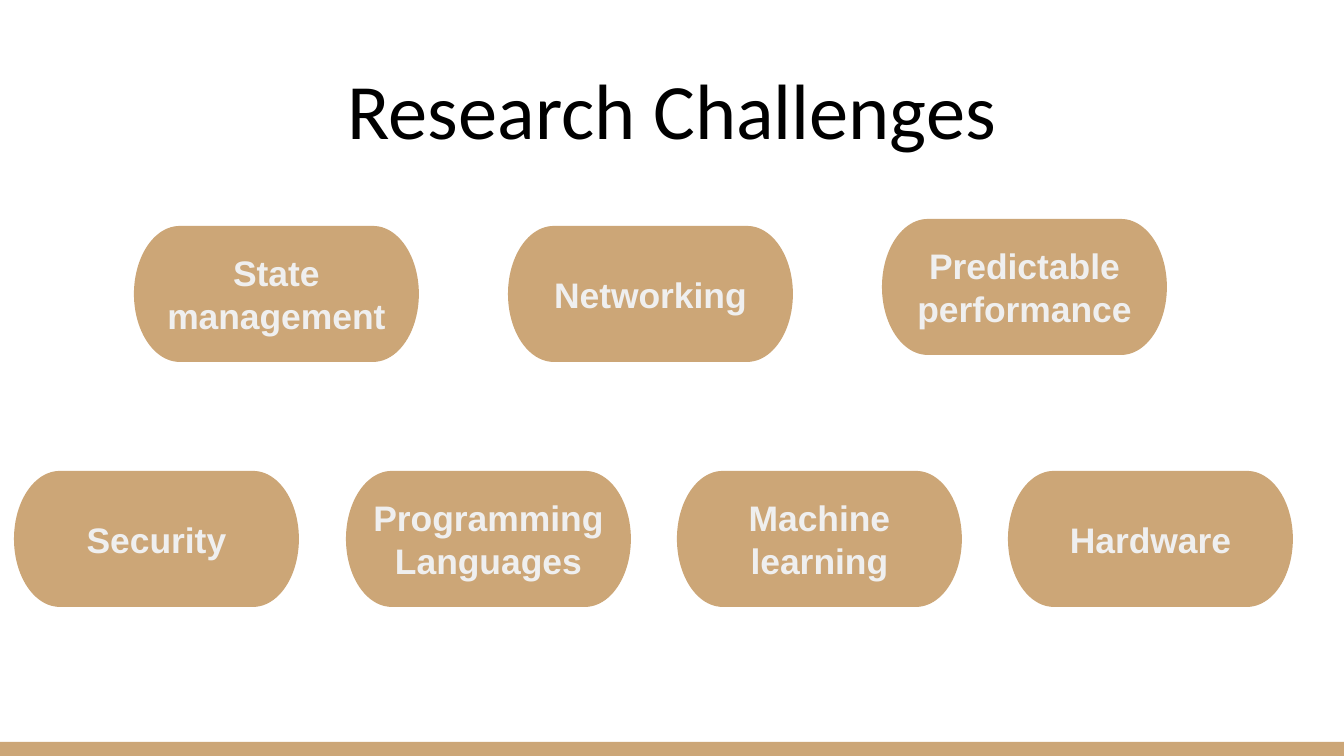
import pptx
import pptx.dml.color
import pptx.enum.shapes
import pptx.enum.text
import pptx.util

PX = 914400 / 134.4
TAN = pptx.dml.color.RGBColor(0xCC, 0xA6, 0x77)
PALE = pptx.dml.color.RGBColor(0xEF, 0xEF, 0xEF)
BLACK = pptx.dml.color.RGBColor(0x00, 0x00, 0x00)
SHAPES = pptx.enum.shapes.MSO_SHAPE
ANCHOR = pptx.enum.text.MSO_ANCHOR


def box(left, top, width, height):
    return [pptx.util.Emu(round(n * PX)) for n in (left, top, width, height)]


def write(shape, words, font, size, color, bold, anchor):
    frame = shape.text_frame
    frame.text = words
    frame.word_wrap = True
    frame.vertical_anchor = anchor
    frame.margin_left = frame.margin_right = pptx.util.Inches(0.1)
    frame.margin_top = frame.margin_bottom = pptx.util.Inches(0.1)
    paragraph = frame.paragraphs[0]
    paragraph.alignment = pptx.enum.text.PP_ALIGN.CENTER
    face = paragraph.runs[0].font
    face.name = font
    face.size = pptx.util.Pt(size)
    face.bold = bold
    face.color.rgb = color


deck = pptx.Presentation()
deck.slide_width, deck.slide_height = box(0, 0, 1344, 756)[2:]
slide = deck.slides.add_slide(deck.slide_layouts[6])

footer = slide.shapes.add_shape(SHAPES.RECTANGLE, *box(0, 742, 1344, 14))
footer.shadow.inherit = False
footer.fill.solid()
footer.fill.fore_color.rgb = TAN
footer.line.fill.background()

title = slide.shapes.add_textbox(*box(46, 47, 1252, 122))
write(title, "Research Challenges", "Calibri", 42, BLACK, False, ANCHOR.BOTTOM)

rows = [
    (134, 374, [("State management", 226), ("Networking", 226),
                ("Predictable performance", 219)]),
    (14, 331.5, [("Security", 471), ("Programming Languages", 471),
                 ("Machine learning", 471), ("Hardware", 471)]),
]
for start, step, topics in rows:
    for column, (topic, top) in enumerate(topics):
        challenge = slide.shapes.add_shape(
            SHAPES.FLOWCHART_TERMINATOR,
            *box(round(start + column * step), top, 285, 136))
        challenge.shadow.inherit = False
        challenge.fill.solid()
        challenge.fill.fore_color.rgb = TAN
        challenge.line.fill.background()
        write(challenge, topic, "Arial", 19, PALE, True, ANCHOR.MIDDLE)

deck.save("out.pptx")
